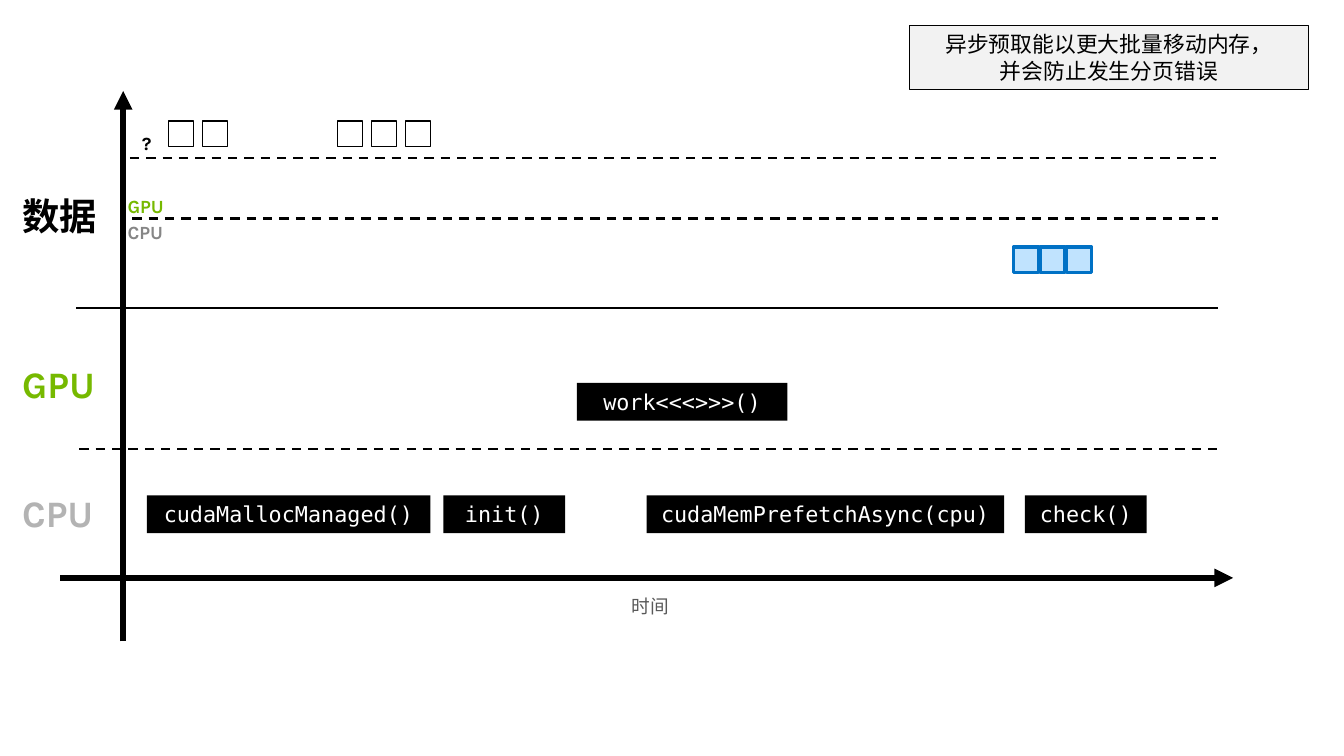
from dataclasses import dataclass

from lxml.etree import SubElement
from pptx import Presentation
from pptx.dml.color import RGBColor
from pptx.enum.dml import MSO_LINE as Dash
from pptx.enum.shapes import MSO_CONNECTOR as Connector, MSO_SHAPE as Shape
from pptx.enum.text import MSO_ANCHOR as Anchor, PP_ALIGN as Align
from pptx.oxml.ns import qn
from pptx.util import Pt


@dataclass(frozen=True)
class Theme:
    black: str = "000000"
    white: str = "FFFFFF"
    gpu: str = "76B900"
    cpu: str = "B3B3B3"
    cpu_small: str = "868686"
    time: str = "595959"
    callout: str = "F2F2F2"
    page_fill: str = "C0E3FE"
    page_line: str = "0071C5"
    label_font: str = "Karla"
    code_font: str = "DejaVu Sans Mono"
    note_font: str = "Arial"
    lane_size: float = 24
    body_size: float = 14
    small_size: float = 12


def write_text(shape, text, font, size, color, bold=False, align=Align.LEFT,
               anchor=Anchor.MIDDLE, spacing=None):
    frame = shape.text_frame
    frame.word_wrap = True
    frame.vertical_anchor = anchor
    paragraph = frame.paragraphs[0]
    paragraph.text = text
    paragraph.alignment = align
    paragraph.line_spacing = spacing
    for run in paragraph.runs:
        run.font.name = font
        run.font.size = Pt(size)
        run.font.bold = bold
        run.font.color.rgb = RGBColor.from_string(color)


class TimelineSlide:
    def __init__(self, slide, theme):
        self.slide = slide
        self.theme = theme

    def line(self, start, end, width=1.5, dashed=False, arrow=False):
        connector = self.slide.shapes.add_connector(
            Connector.STRAIGHT, *map(Pt, (*start, *end)))
        connector.line.color.rgb = RGBColor.from_string(self.theme.black)
        connector.line.width = Pt(width)
        if dashed:
            connector.line.dash_style = Dash.DASH
        if arrow:
            SubElement(connector.line._get_or_add_ln(), qn("a:tailEnd"), type="triangle")
        SubElement(connector._element.spPr, qn("a:effectLst"))

    def box(self, left, top, width, height, fill=None, line=None, line_width=0.75):
        shape = self.slide.shapes.add_shape(
            Shape.RECTANGLE, *map(Pt, (left, top, width, height)))
        shape.shadow.inherit = False
        if fill:
            shape.fill.solid()
            shape.fill.fore_color.rgb = RGBColor.from_string(fill)
        else:
            shape.fill.background()
        if line:
            shape.line.color.rgb = RGBColor.from_string(line)
            shape.line.width = Pt(line_width)
        else:
            shape.line.fill.background()
        return shape

    def label(self, text, left, top, width, height, size, color, **style):
        shape = self.slide.shapes.add_textbox(*map(Pt, (left, top, width, height)))
        write_text(shape, text, self.theme.label_font, size, color,
                   anchor=Anchor.BOTTOM, spacing=0.9, **style)

    def call(self, text, left, top, width):
        shape = self.box(left, top, width, 24.3, fill=self.theme.black)
        write_text(shape, text, self.theme.code_font, self.theme.body_size,
                   self.theme.white, align=Align.CENTER)

    def pages(self, left, top, count, pitch, **style):
        for index in range(count):
            self.box(left + index * pitch, top, 16.2, 16.2, **style)

    def callout(self, text, left, top, width, height):
        shape = self.box(left, top, width, height,
                         fill=self.theme.callout, line=self.theme.black)
        write_text(shape, text, self.theme.note_font, self.theme.body_size,
                   self.theme.black, align=Align.CENTER, anchor=Anchor.TOP)


def main():
    presentation = Presentation()
    presentation.slide_width, presentation.slide_height = Pt(864), Pt(486)
    theme = Theme()
    timeline = TimelineSlide(
        presentation.slides.add_slide(presentation.slide_layouts[6]), theme)

    timeline.line((79.2, 412.3), (79.2, 58.5), width=4, arrow=True)
    timeline.line((38.7, 371.5), (792.7, 371.5), width=4, arrow=True)
    for left, right, y, dashed in (
        (51, 784.8, 288.5, True),
        (49, 782.8, 198, False),
        (85, 782.8, 140.4, True),
        (83.5, 781.5, 101.6, True),
    ):
        timeline.line((left, y), (right, y), dashed=dashed)

    for text, top, width, color in (
        ("数据", 123.8, 79.2, theme.black),
        ("GPU", 231.3, 69.8, theme.gpu),
        ("CPU", 314.2, 69.8, theme.cpu),
    ):
        timeline.label(text, 7.2, top, width, 33.3, theme.lane_size, color, bold=True)
    for text, left, top, width, color in (
        ("?", 84.2, 82.6, 17.3, theme.black),
        ("GPU", 74.9, 123.1, 39.6, theme.gpu),
        ("CPU", 74.9, 139.7, 39.6, theme.cpu_small),
    ):
        timeline.label(text, left, top, width, 20.2, theme.small_size, color, bold=True)
    timeline.label("时间", 396.7, 378.7, 42.5, 21.6, theme.small_size, theme.time,
                   align=Align.CENTER)

    timeline.pages(108.2, 77.8, 2, 21.8, line=theme.black)
    timeline.pages(217.1, 77.8, 3, 21.8, line=theme.black)
    timeline.pages(651.6, 158.9, 3, 17, fill=theme.page_fill,
                   line=theme.page_line, line_width=2.25)

    timeline.call("work<<<>>>()", 370.8, 246.2, 135.4)
    for text, left, width in (
        ("cudaMallocManaged()", 94.5, 182.2),
        ("init()", 285.1, 78.3),
        ("cudaMemPrefetchAsync(cpu)", 415.7, 229.8),
        ("check()", 658.9, 78.3),
    ):
        timeline.call(text, left, 318.4, width)

    timeline.callout("异步预取能以更大批量移动内存，\v并会防止发生分页错误",
                     584.5, 16.5, 257, 41.3)
    presentation.save("out.pptx")


if __name__ == "__main__":
    main()
